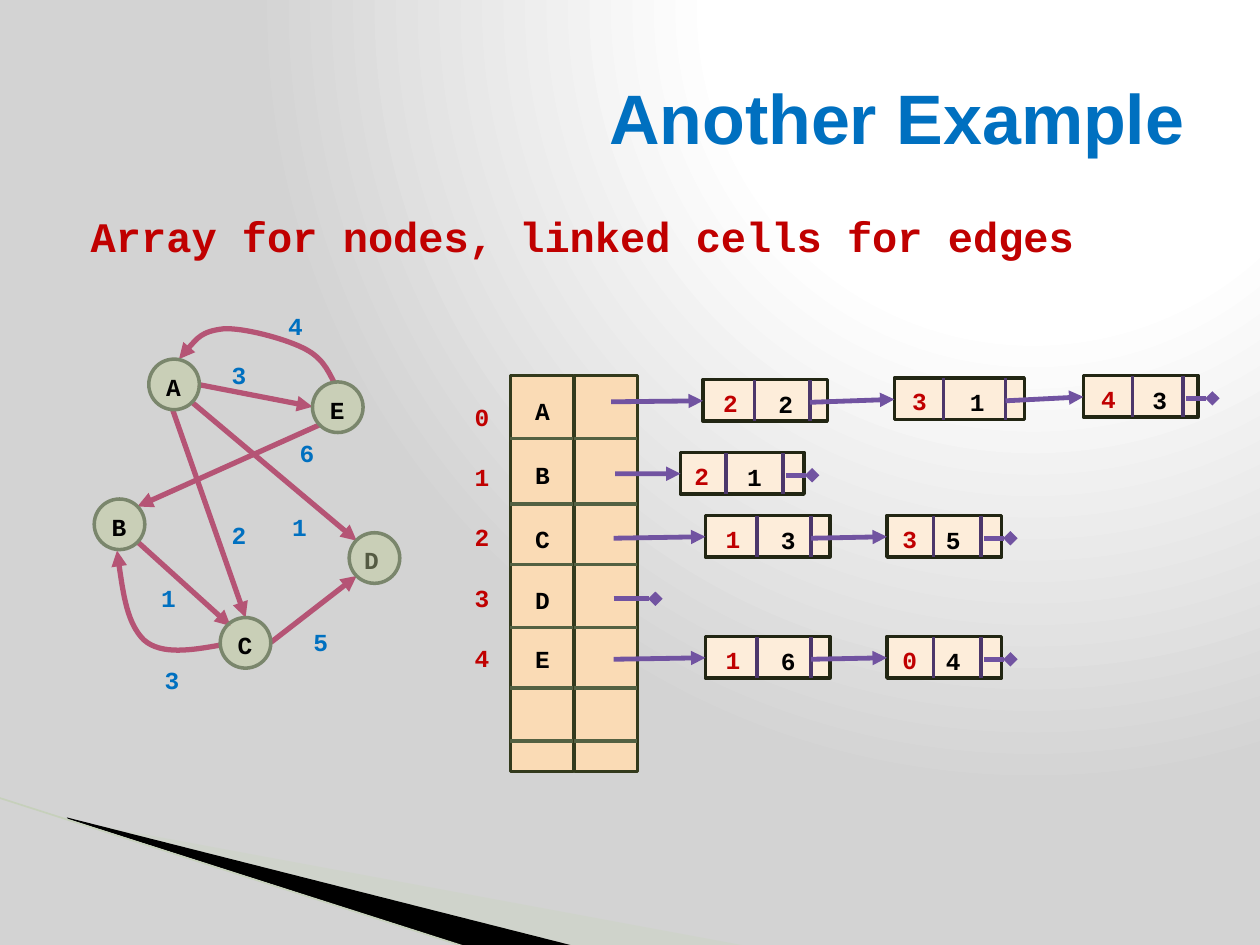
"""Draw a weighted graph beside its array of linked edge cells."""
import lxml.etree
import pptx
import pptx.dml.color
import pptx.enum.shapes
import pptx.enum.text
import pptx.oxml
import pptx.oxml.ns
import pptx.util

Cm, Pt, qn = pptx.util.Cm, pptx.util.Pt, pptx.oxml.ns.qn
SHAPES = pptx.enum.shapes.MSO_SHAPE
ANCHOR, ALIGN = pptx.enum.text.MSO_ANCHOR, pptx.enum.text.PP_ALIGN
RED, BLUE, BLACK, ROSE, PLUM, GRAPE = "C00000", "0070C0", "000000", "B55475", "7153A1", "4C376B"

GLOW = f"""<a:gradFill {pptx.oxml.ns.nsdecls("a")} rotWithShape="1"><a:gsLst>
<a:gs pos="0"><a:srgbClr val="FFFFFF"/></a:gs><a:gs pos="40000"><a:srgbClr val="FFFFFF"/></a:gs>
<a:gs pos="100000"><a:srgbClr val="D3D3D3"/></a:gs></a:gsLst>
<a:path path="circle"><a:fillToRect l="65000" t="0" r="0" b="98000"/></a:path></a:gradFill>"""


def paint(color):
    return pptx.dml.color.RGBColor.from_string(color)


class Sketch:
    def __init__(self, slide):
        self.slide, self.shapes = slide, slide.shapes
        self.mono, self.sans, self.size = "Courier New", "Arial", 14

    def glow(self):
        self.slide.background.fill.gradient()
        old = self.slide.element.find(".//" + qn("a:gradFill"))
        old.getparent().replace(old, pptx.oxml.parse_xml(GLOW))

    def font(self, para, name, size, color):
        para.font.name, para.font.size, para.font.bold = name, Pt(size), True
        para.font.color.rgb = paint(color)

    def title(self, text, x, y, w, h):
        box = self.shapes.title
        box.left, box.top, box.width, box.height = Cm(x), Cm(y), Cm(w), Cm(h)
        frame = box.text_frame
        frame.text, frame.vertical_anchor = text, ANCHOR.MIDDLE
        frame.paragraphs[0].alignment = ALIGN.RIGHT
        self.font(frame.paragraphs[0], self.sans, 40, BLUE)

    def text(self, text, x, y, color=BLACK, w=0.94, h=0.86, size=None, after=0):
        frame = self.shapes.add_textbox(Cm(x), Cm(y), Cm(w), Cm(h)).text_frame
        frame.word_wrap, frame.text = True, text
        for para in frame.paragraphs:
            self.font(para, self.mono, size or self.size, color)
            para.space_after = Pt(after)
        return frame

    def style(self, shape, fill=None, line=None, width=2, alpha=None):
        shape.shadow.inherit = False
        if fill:
            shape.fill.solid()
            shape.fill.fore_color.rgb = paint(fill)
        else:
            shape.fill.background()
        if alpha:
            tint = shape.element.spPr.find(qn("a:solidFill"))[0]
            lxml.etree.SubElement(tint, qn("a:alpha"), val=str(alpha * 1000))
        if line:
            shape.line.color.rgb, shape.line.width = paint(line), Pt(width)
        else:
            shape.line.fill.background()

    def shape(self, kind, x, y, w, h, fill, line, alpha=None):
        item = self.shapes.add_shape(kind, Cm(x), Cm(y), Cm(w), Cm(h))
        self.style(item, fill, line, alpha=alpha)

    def tip(self, item, kind):
        stroke = item.element.spPr.find(qn("a:ln"))
        lxml.etree.SubElement(stroke, qn("a:tailEnd"), type=kind)

    def line(self, x, y, right, low, color, width=2, tip=None):
        item = self.shapes.add_connector(
            pptx.enum.shapes.MSO_CONNECTOR.STRAIGHT, Cm(x), Cm(y), Cm(right), Cm(low))
        item.line.color.rgb, item.line.width = paint(color), Pt(width)
        if tip:
            self.tip(item, tip)
        lxml.etree.SubElement(item.element.spPr, qn("a:effectLst"))

    def outline(self, points, close):
        first, *rest = [(Cm(x), Cm(y)) for x, y in points]
        form = self.shapes.build_freeform(*first)
        form.add_line_segments(rest, close=close)
        return form.convert_to_shape()

    def wedge(self, points, fill, alpha=None):
        self.style(self.outline(points, True), fill, alpha=alpha)

    def curve(self, points):
        item = self.outline(points, False)
        track = item.element.find(".//" + qn("a:path"))
        steps = track.findall(qn("a:lnTo"))
        for at in range(0, len(steps), 3):
            bend = lxml.etree.SubElement(track, qn("a:cubicBezTo"))
            for step in steps[at:at + 3]:
                bend.append(step[0])
                track.remove(step)
        self.style(item, line=ROSE, width=3)
        self.tip(item, "triangle")

    def cell(self, x, y, w, key, cost, split, link, inset):
        self.shape(SHAPES.RECTANGLE, x, y, w, 0.84, "FDEDDA", "222613")
        for edge in (split, link):
            self.line(x + edge, y + 0.01, x + edge, y + 0.84, GRAPE)
        self.text(key, x + split - 0.88, y + 0.04, RED)
        self.text(cost, x + inset, y + 0.06)

    def chain(self, start, cells):
        x, y = start
        for left, top, w, key, cost, split, link, inset in cells:
            self.cell(left, top, w, key, cost, split, link, inset)
            self.line(x, y, left, top + 0.43, PLUM, 2.75, "triangle")
            x, y = left + link, top + 0.46
        if cells:
            x += 0.06
        self.line(x, y, x + (0.53 if cells else 0.84), y, PLUM, 2.75, "diamond")


def graph(sketch):
    nodes = {"A": (3, 7.24), "E": (6.3, 7.7), "B": (1.9, 10.06),
             "C": (4.44, 12.45), "D": (7.04, 10.74)}
    edges = [(5.46, 12.95, 7.19, 11.61), (6.45, 8.56, 2.77, 10.21), (2.77, 10.92, 4.65, 12.62),
             (3.86, 8.1, 7.19, 10.9), (3.48, 8.26, 4.95, 12.45), (3.99, 7.75, 6.3, 8.2)]
    costs = [("1", 3, 11.63), ("3", 4.42, 7.14), ("5", 6.07, 12.52), ("3", 3.07, 13.28),
             ("1", 5.64, 10.19), ("2", 4.42, 10.36), ("6", 5.79, 8.71), ("4", 5.56, 6.15)]
    for edge in edges:
        sketch.line(*edge, ROSE, 3, "triangle")
    sketch.curve([(4.47, 13), (3.86, 13.11), (3.25, 13.21), (2.9, 12.9),
                  (2.57, 12.57), (2.46, 11.84), (2.36, 11.1)])
    sketch.curve([(6.73, 7.7), (6.6, 7.44), (6.48, 7.19), (6.1, 7.01), (5.74, 6.83),
                  (4.9, 6.6), (4.5, 6.63), (4.06, 6.68), (3.84, 6.96), (3.61, 7.24)])
    x, y = nodes["D"]
    sketch.text("D", x + 0.05, y + 0.13)
    for name, (x, y) in nodes.items():
        sketch.shape(SHAPES.OVAL, x, y, 1.02, 1.02, "BECB95", "7A866C", 45)
        if name != "D":
            sketch.text(name, x + 0.1, y + 0.13)
    for cost, x, y in costs:
        sketch.text(cost, x, y, BLUE)


def array(sketch):
    for x in (10.29, 11.58):
        sketch.shape(SHAPES.RECTANGLE, x, 7.57, 1.27, 7.98, "FADBB5", "333A1C")
        for y in (8.84, 10.16, 11.38, 12.65, 13.87, 14.94):
            sketch.line(x, y, x + 1.27, y, "536142")
    for name, y in zip("ABCDE", (7.85, 9.14, 10.44, 11.66, 12.85)):
        sketch.text(name, 10.54, y)
    sketch.text("\n".join("01234"), 9.32, 7.98, RED, 0.84, 5.64, after=17.6)


def chains(sketch):
    sketch.chain((12.32, 8.1), [(14.17, 7.65, 2.51, "2", "2", 1.04, 2.16, 1.27),
                                (18.03, 7.62, 2.62, "3", "1", 0.99, 2.24, 1.27),
                                (21.84, 7.57, 2.31, "4", "3", 0.99, 2.01, 1.14)])
    sketch.chain((12.4, 9.55), [(13.72, 9.12, 2.49, "2", "1", 0.91, 2.06, 1.09)])
    for y, pairs in ((10.39, ("13", "35")), (12.83, ("16", "04"))):
        near, far = pairs
        sketch.chain((12.37, y + 0.46), [(14.22, y, 2.51, *near, 1.04, 2.13, 1.27),
                                         (17.88, y, 2.31, *far, 0.94, 1.9, 0.94)])
    sketch.chain((12.37, 12.07), [])


def main():
    deck = pptx.Presentation()
    deck.slide_width, deck.slide_height = Cm(25.4), Cm(19.05)
    sketch = Sketch(deck.slides.add_slide(deck.slide_layouts[5]))
    sketch.glow()
    sketch.wedge([(1.4, 16.54), (15.11, 19.08), (11.58, 19.08), (1.4, 16.51)], "CBD4C0", 40)
    sketch.wedge([(1.35, 16.48), (11.61, 19.08), (9.45, 19.1), (1.37, 16.51)], BLACK)
    sketch.line(-0.03, 16.08, 9.42, 19.1, "C6D0BB", 0.95)
    sketch.title("Another Example", 1.27, 0.76, 22.86, 3.18)
    body = sketch.text("Array for nodes, linked cells for edges",
                       1.27, 4.11, RED, 22.86, 12.57, 24)
    body.margin_left, body.paragraphs[0].space_before = Cm(0.56), Pt(4)
    graph(sketch)
    array(sketch)
    chains(sketch)
    deck.save("out.pptx")


if __name__ == "__main__":
    main()
